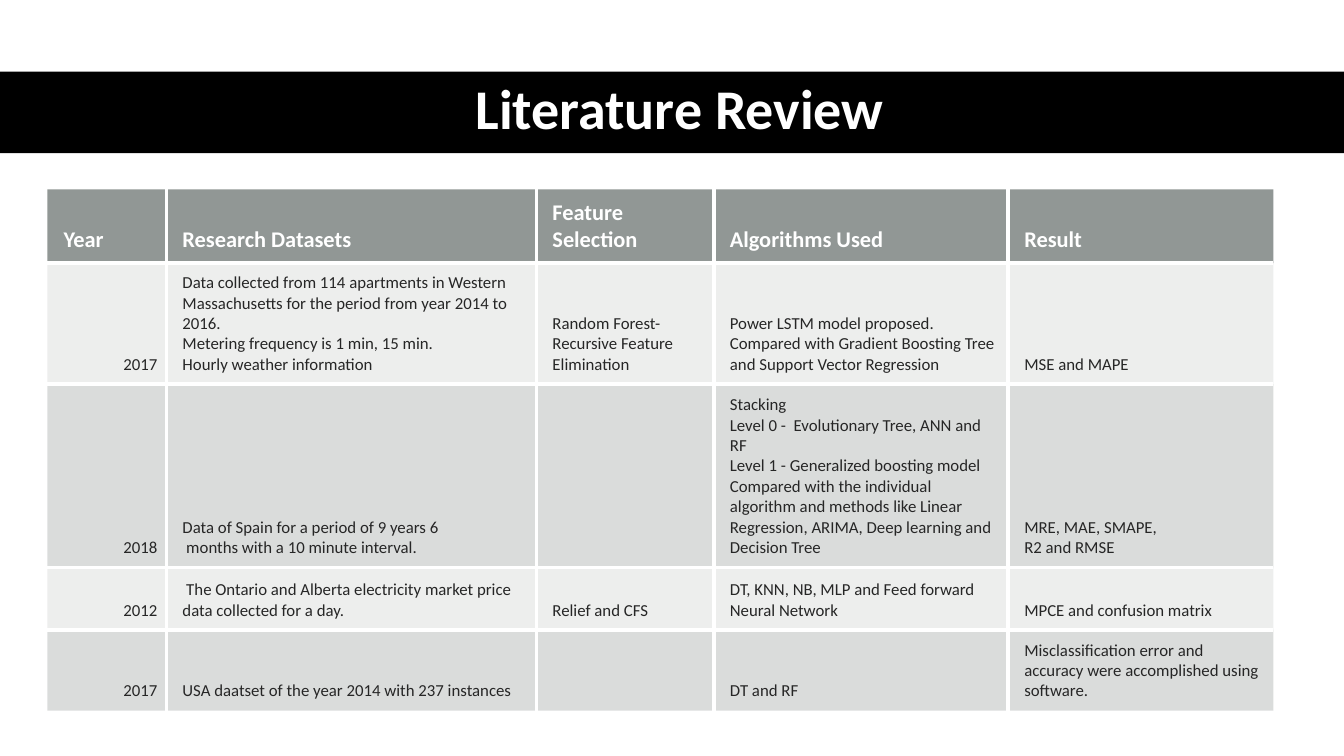
from copy import deepcopy

from pptx import Presentation
from pptx.dml.color import RGBColor as RGB
from pptx.enum.shapes import MSO_SHAPE as SHAPE
from pptx.enum.text import MSO_ANCHOR as ANCHOR, PP_ALIGN as ALIGN
from pptx.oxml import parse_xml
from pptx.oxml.ns import nsdecls, qn
from pptx.util import Inches, Pt

# Content
TITLE = "Literature Review"
ROWS = [
    ("Year", "Research Datasets", "Feature Selection ", "Algorithms Used", "Result"),
    ("2017",
     "Data collected from 114 apartments in Western Massachusetts for the period "
     "from year 2014 to 2016. \nMetering frequency is 1 min, 15 min. \n"
     "Hourly weather information",
     "Random Forest-Recursive Feature Elimination ",
     "Power LSTM model proposed.\nCompared with Gradient Boosting Tree "
     "and Support Vector Regression",
     "MSE and MAPE"),
    ("2018",
     "Data of Spain for a period of 9 years 6\n months with a 10 minute interval.",
     "",
     "Stacking \nLevel 0 -  Evolutionary Tree, ANN and RF\n"
     "Level 1 - Generalized boosting model \n"
     "Compared with the individual algorithm and methods like Linear Regression, "
     "ARIMA, Deep learning and \nDecision Tree",
     "MRE, MAE, SMAPE, \nR2 and RMSE"),
    ("2012",
     " The Ontario and Alberta electricity market price \ndata collected for a day.",
     "Relief and CFS",
     "DT, KNN, NB, MLP and Feed forward \nNeural Network",
     "MPCE and confusion matrix"),
    ("2017", "USA daatset of the year 2014 with 237 instances", "", "DT and RF",
     "Misclassification error and accuracy were accomplished using software."),
]
COL_WIDTHS = (1.18, 3.67, 1.76, 2.92, 2.63)
ROW_HEIGHTS = (0.73, 1.2, 1.82, 0.62, 0.8)

# Theme: fills are (colour, opacity in percent)
THEME = {
    "font": "Calibri", "band": "000000", "light": "FFFFFF", "dark": "262626",
    "header": ("636B68", 70), "odd": ("878E8B", 15), "even": ("878E8B", 30),
    "title_size": 40, "header_size": 16, "body_size": 12, "border": 3,
}
NO_STYLE = "{2D5ABB26-0587-4C30-8999-92F81FD0307C}"


def write(p, text, size, color, bold, align):
    p.text = text
    p.alignment = align
    for r in p.runs:
        r.font.name, r.font.size, r.font.bold = THEME["font"], Pt(size), bold
        r.font.color.rgb = RGB.from_string(color)
    for br in p._p.findall(qn("a:br")):
        br.append(deepcopy(p.runs[0]._r.rPr))


def add_border(cell, side):
    cell._tc.get_or_add_tcPr().append(parse_xml(
        f'<a:{side} {nsdecls("a")} w="{Pt(THEME["border"])}"><a:solidFill>'
        f'<a:srgbClr val="{THEME["light"]}"/></a:solidFill></a:{side}>'))


def fill_cell(cell, color, opacity):
    cell.fill.solid()
    cell.fill.fore_color.rgb = RGB.from_string(color)
    clr = cell._tc.tcPr.find(qn("a:solidFill")).find(qn("a:srgbClr"))
    clr.append(parse_xml(f'<a:alpha {nsdecls("a")} val="{opacity * 1000}"/>'))


prs = Presentation()
prs.slide_width, prs.slide_height = Inches(13.33), Inches(7.5)
slide = prs.slides.add_slide(prs.slide_layouts[6])

# Title band
band = slide.shapes.add_shape(SHAPE.RECTANGLE, 0, Inches(0.71), prs.slide_width, Inches(0.81))
band.shadow.inherit = False
band.fill.solid()
band.fill.fore_color.rgb = RGB.from_string(THEME["band"])
band.line.fill.background()

title = slide.shapes.add_textbox(Inches(0.61), Inches(0.7), Inches(12.26), Inches(0.81))
tf = title.text_frame
tf.word_wrap = True
tf.vertical_anchor = ANCHOR.MIDDLE
write(tf.paragraphs[0], TITLE, THEME["title_size"], THEME["light"], True, ALIGN.CENTER)
tf.paragraphs[0].line_spacing = 0.9

# Review table
frame = slide.shapes.add_table(len(ROWS), len(COL_WIDTHS), Inches(0.47), Inches(1.88),
                               Inches(sum(COL_WIDTHS)), Inches(sum(ROW_HEIGHTS)))
table = frame.table
table._tbl.tblPr.find(qn("a:tableStyleId")).text = NO_STYLE
table.horz_banding = False
for column, width in zip(table.columns, COL_WIDTHS):
    column.width = Inches(width)
for row, height in zip(table.rows, ROW_HEIGHTS):
    row.height = Inches(height)

last_row, last_col = len(ROWS) - 1, len(COL_WIDTHS) - 1
for i, texts in enumerate(ROWS):
    is_header = i == 0
    kind = "header" if is_header else "odd" if i % 2 else "even"
    size = THEME["header_size" if is_header else "body_size"]
    color = THEME["light" if is_header else "dark"]
    for j, text in enumerate(texts):
        cell = table.cell(i, j)
        cell.vertical_anchor = ANCHOR.BOTTOM
        cell.margin_left = Inches(0.16)
        cell.margin_right = cell.margin_top = cell.margin_bottom = Inches(0.09)
        align = ALIGN.RIGHT if j == 0 and not is_header else ALIGN.LEFT
        write(cell.text_frame.paragraphs[0], text, size, color, is_header, align)
        # Only the inner grid lines are drawn
        inner = {"lnL": j > 0, "lnR": j < last_col, "lnT": i > 0, "lnB": i < last_row}
        for side, shown in inner.items():
            if shown:
                add_border(cell, side)
        fill_cell(cell, *THEME[kind])

prs.save("out.pptx")
